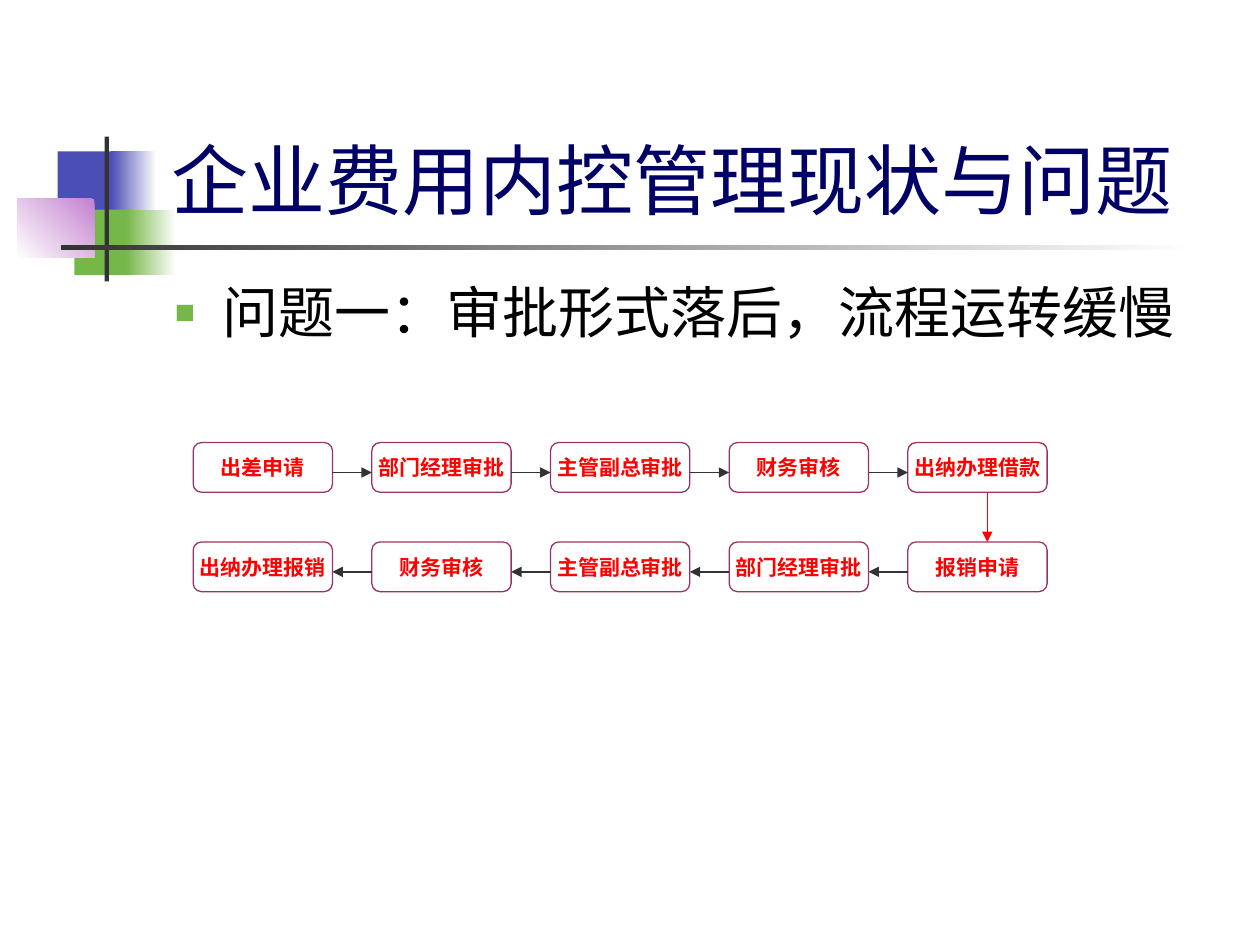
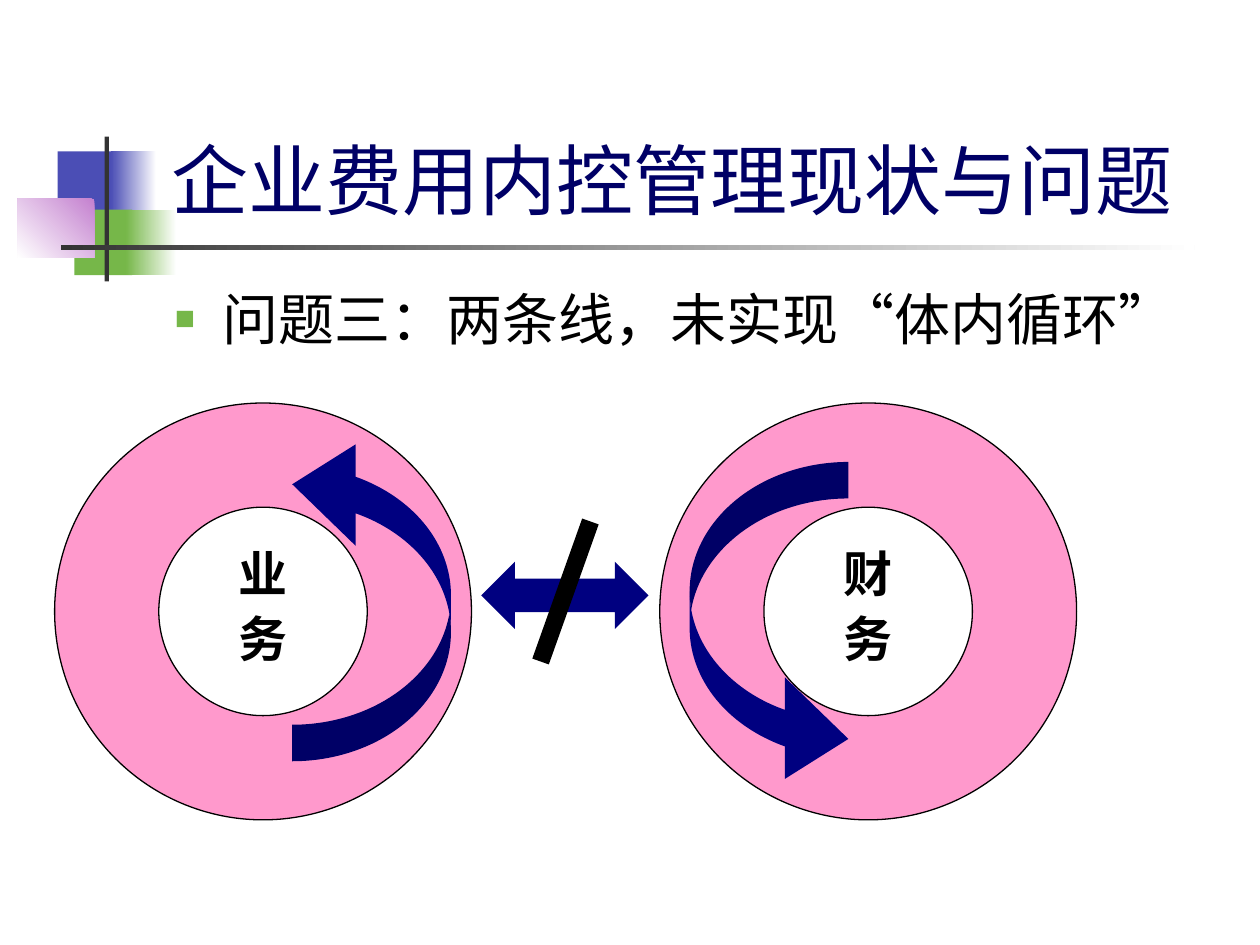
from dataclasses import dataclass
from typing import Optional

import pptx
import pptx.dml.color
import pptx.enum.shapes
import pptx.enum.text
import pptx.oxml
import pptx.oxml.ns
import pptx.util
from lxml import etree

Pt = pptx.util.Pt
SHAPE = pptx.enum.shapes.MSO_SHAPE
ANCHOR = pptx.enum.text.MSO_ANCHOR
ALIGN = pptx.enum.text.PP_ALIGN

COLORS = {
    "white": "FFFFFF", "black": "000000", "charcoal": "333333",
    "blue": "4B4EB5", "green": "76B749", "lilac": "C481CF",
    "title": "000066", "navy": "000080", "pink": "FF99CC",
    "plum": "993366", "red": "FF0000",
}
TITLE = "企业费用内控管理现状与问题"


@dataclass(frozen=True)
class Area:
    left: float
    top: float
    width: float
    height: float

    def lengths(self) -> tuple:
        return Pt(self.left), Pt(self.top), Pt(self.width), Pt(self.height)


@dataclass(frozen=True)
class Band:
    area: Area
    color: str
    fade_angle: Optional[float] = None


@dataclass(frozen=True)
class TextStyle:
    font: str
    size: float
    color: str
    bold: bool = False
    align: Optional[ALIGN] = None


@dataclass(frozen=True)
class Cycle:
    label: str
    left: float
    arrow_left: float
    arrow_top: float
    rotation: float


BANDS = [
    Band(Area(33, 86.5, 34.5, 37.5), "blue"),
    Band(Area(63.4, 86.5, 26, 37.5), "blue", 0),
    Band(Area(42.5, 119.8, 33, 37.5), "green"),
    Band(Area(72, 119.8, 28.8, 37.5), "green", 0),
    Band(Area(10, 113.7, 44, 33.5), "lilac", 225),
    Band(Area(59.8, 78, 2.5, 82.8), "charcoal"),
    Band(Area(34.7, 140.2, 648, 2.5), "charcoal", 0),
]
TITLE_STYLE = TextStyle("Roboto", 44, "title")
BODY_STYLE = TextStyle("Roboto", 32, "black")
STEP_STYLE = TextStyle("Arial", 12, "red", True, ALIGN.CENTER)
CYCLE_STYLE = TextStyle("Noto Sans CJK SC", 28, "black", True, ALIGN.CENTER)

REQUEST_STEPS = ["出差申请", "部门经理审批", "主管副总审批", "财务审核", "出纳办理借款"]
CLAIM_STEPS = ["出纳办理报销", "财务审核", "主管副总审批", "部门经理审批", "报销申请"]
STEP_LEFT, STEP_PITCH, STEP_WIDTH, STEP_HEIGHT = 110.4, 102.1, 79.6, 28.4
REQUEST_TOP, CLAIM_TOP, ARROW_DROP = 252.9, 309.7, 17.1

CYCLES = [
    Cycle("业务", 31.2, 167, 247.7, 180),
    Cycle("财务", 377, 394.1, 264, 0),
]
RING_TOP, RING_SIZE = 230.3, 238.2


def rgb(name: str) -> pptx.dml.color.RGBColor:
    return pptx.dml.color.RGBColor.from_string(COLORS[name])


def add_shape(page, kind, area: Area, fill: Optional[str] = None, line: Optional[str] = None):
    shape = page.shapes.add_shape(kind, *area.lengths())
    shape.shadow.inherit = False
    if fill:
        shape.fill.solid()
        shape.fill.fore_color.rgb = rgb(fill)
    else:
        shape.fill.background()
    if line:
        shape.line.color.rgb = rgb(line)
        shape.line.width = Pt(0.75)
    else:
        shape.line.fill.background()
    return shape


def add_band(page, band: Band) -> None:
    shape = add_shape(page, SHAPE.RECTANGLE, band.area, band.color)
    if band.fade_angle is not None:
        shape.fill.gradient()
        shape.fill.gradient_angle = band.fade_angle
        for stop, color in zip(shape.fill.gradient_stops, (band.color, "white")):
            stop.color.rgb = rgb(color)


def write(shape, text: str, style: TextStyle):
    para = shape.text_frame.paragraphs[0]
    para.text = text
    para.alignment = style.align
    para.font.name = style.font
    para.font.size = Pt(style.size)
    para.font.bold = style.bold
    para.font.color.rgb = rgb(style.color)
    return para


def add_text_box(page, area: Area, anchor=ANCHOR.TOP):
    box = page.shapes.add_textbox(*area.lengths())
    box.text_frame.word_wrap = True
    box.text_frame.vertical_anchor = anchor
    return box


def add_bullet(para) -> None:
    properties = para._p.get_or_add_pPr()
    properties.set("marL", str(Pt(27)))
    properties.set("indent", str(-Pt(27)))
    qn = pptx.oxml.ns.qn
    color = etree.SubElement(properties, qn("a:buClr"))
    etree.SubElement(color, qn("a:srgbClr"), val=COLORS["green"])
    etree.SubElement(properties, qn("a:buSzPct"), val="60000")
    etree.SubElement(properties, qn("a:buFont"), typeface="Arial")
    etree.SubElement(properties, qn("a:buChar"), char="■")


def add_line(page, start: tuple, end: tuple, color: str, width: float = 0.75, arrow: bool = True) -> None:
    line = page.shapes.add_connector(
        pptx.enum.shapes.MSO_CONNECTOR.STRAIGHT, *(Pt(value) for value in start + end))
    line.line.color.rgb = rgb(color)
    line.line.width = Pt(width)
    qn = pptx.oxml.ns.qn
    if arrow:
        etree.SubElement(line.line._get_or_add_ln(), qn("a:tailEnd"), type="triangle")
    etree.SubElement(line._element.spPr, qn("a:effectLst"))


def add_page(deck, problem: str, line_spacing: float):
    page = deck.slides.add_slide(deck.slide_layouts[6])
    for band in BANDS:
        add_band(page, band)
    write(add_text_box(page, Area(90.7, 16.6, 613.4, 115.2), ANCHOR.BOTTOM), TITLE, TITLE_STYLE)
    body = add_text_box(page, Area(92.9, 159.1, 612, 46))
    add_bullet(body.text_frame.paragraphs[0])
    write(body, problem, BODY_STYLE).line_spacing = line_spacing
    return page


def add_step_row(page, steps: list, top: float, rightward: bool) -> None:
    for index, step in enumerate(steps):
        left = STEP_LEFT + index * STEP_PITCH
        box = add_shape(page, SHAPE.FLOWCHART_ALTERNATE_PROCESS,
                        Area(left, top, STEP_WIDTH, STEP_HEIGHT), line="plum")
        box.text_frame.word_wrap = False
        box.text_frame.vertical_anchor = ANCHOR.MIDDLE
        write(box, step, STEP_STYLE)
        if index:
            ends = [(left - STEP_PITCH + STEP_WIDTH, top + ARROW_DROP), (left, top + ARROW_DROP)]
            start, end = ends if rightward else reversed(ends)
            add_line(page, start, end, "charcoal")


def add_cycle(page, cycle: Cycle) -> None:
    add_shape(page, SHAPE.DONUT, Area(cycle.left, RING_TOP, RING_SIZE, RING_SIZE), "pink", "black")
    label = add_text_box(page, Area(cycle.left + 90.7, 303.8, 56.9, 81.4))
    write(label, cycle.label, CYCLE_STYLE).line_spacing = 1.1
    arrow = add_shape(page, SHAPE.CURVED_RIGHT_ARROW,
                      Area(cycle.arrow_left, cycle.arrow_top, 90.7, 187.3), "navy")
    for index, value in enumerate((0.23, 0.64, 0.4)):
        arrow.adjustments[index] = value
    arrow.rotation = cycle.rotation


def build_approval_page(deck) -> None:
    page = add_page(deck, "问题一：审批形式落后，流程运转缓慢", 0.9)
    add_step_row(page, REQUEST_STEPS, REQUEST_TOP, True)
    add_step_row(page, CLAIM_STEPS, CLAIM_TOP, False)
    add_line(page, (564.2, REQUEST_TOP + STEP_HEIGHT), (564.2, CLAIM_TOP), "red")


def build_cycle_page(deck) -> None:
    page = add_page(deck, "问题三：两条线，未实现“体内循环”", 1.0)
    for cycle in CYCLES:
        add_cycle(page, cycle)
    add_shape(page, SHAPE.LEFT_RIGHT_ARROW, Area(275, 321, 95.6, 38.4), "navy")
    add_line(page, (337.4, 298), (308.9, 378), "black", 10, False)


def main() -> None:
    deck = pptx.Presentation()
    deck.slide_width, deck.slide_height = Pt(720), Pt(540)
    build_approval_page(deck)
    build_cycle_page(deck)
    deck.save("out.pptx")


if __name__ == "__main__":
    main()
